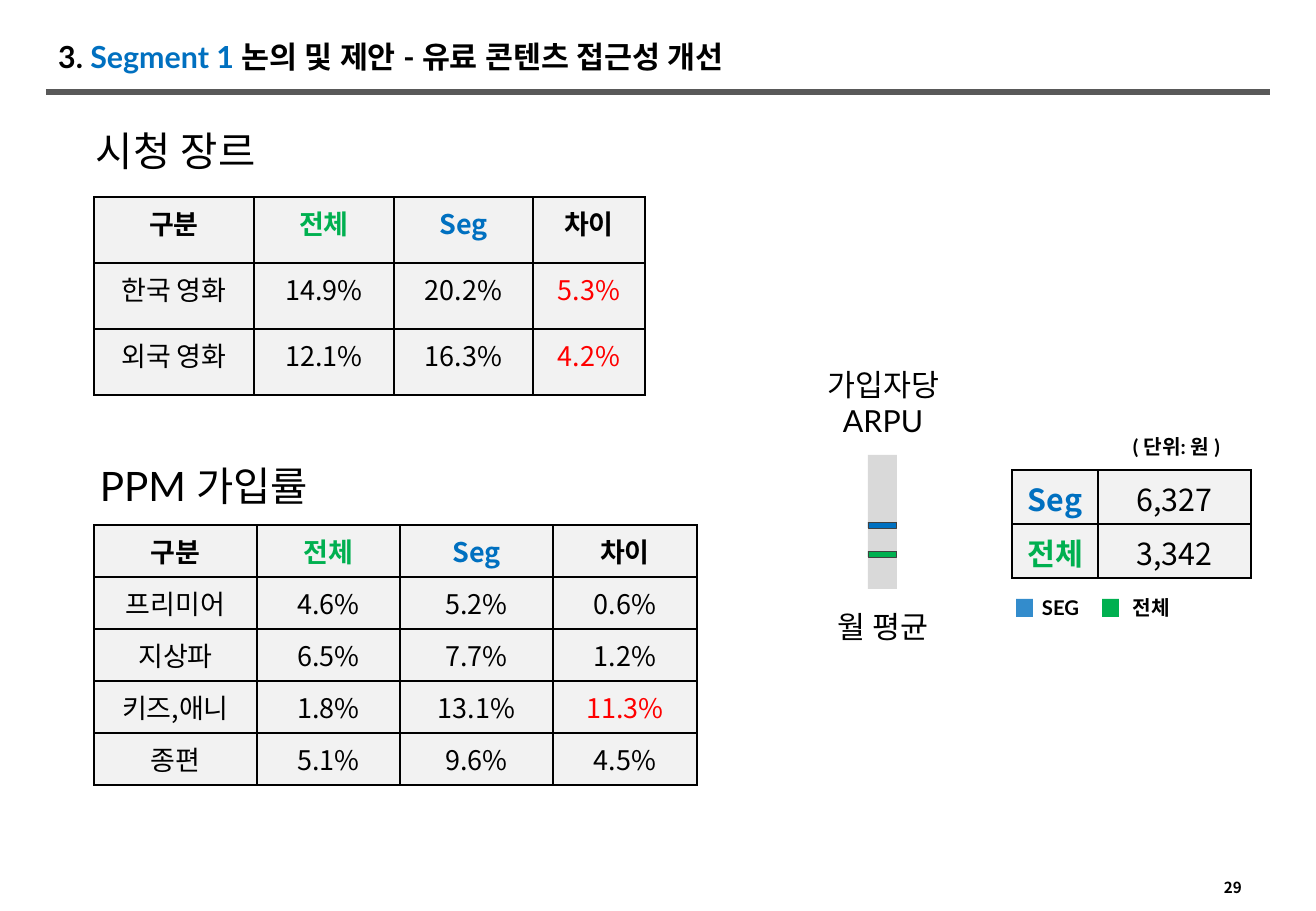
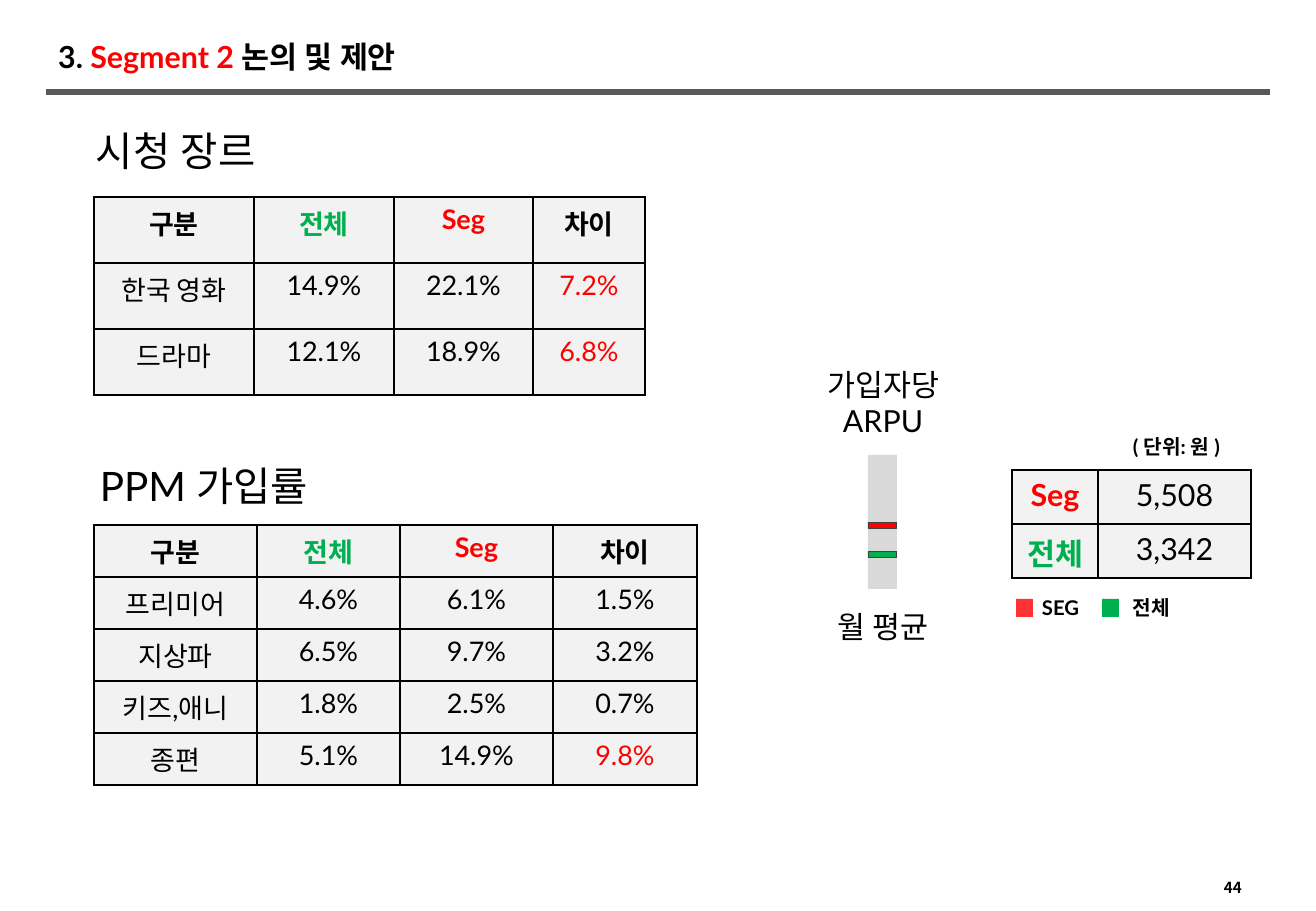
import dataclasses

import pptx
import pptx.dml.color
import pptx.enum.shapes
import pptx.enum.text
import pptx.oxml.ns
import pptx.oxml.xmlchemy
import pptx.util
from pptx.oxml import parse_xml

PX = 914400 / 121.5  # EMU in one px
RECTANGLE = pptx.enum.shapes.MSO_SHAPE.RECTANGLE
CENTER = pptx.enum.text.PP_ALIGN.CENTER
LEFT = pptx.enum.text.PP_ALIGN.LEFT
MIDDLE = pptx.enum.text.MSO_ANCHOR.MIDDLE
NAMESPACE = 'xmlns:a="http://schemas.openxmlformats.org/drawingml/2006/main"'


@dataclasses.dataclass(frozen=True)
class Theme:
    black: str = "000000"
    blue: str = "0070C0"
    red: str = "FF0000"
    green: str = "00B050"
    rule: str = "595959"
    outline: str = "404040"
    gauge: str = "D9D9D9"
    cell: str = "F2F2F2"
    latin: str = "Lato"
    korean: str = "Noto Sans CJK KR"
    heading: int = 24
    title: int = 18
    cell_text: int = 16
    label: int = 12
    page: int = 9


THEME = Theme()
RGB = pptx.dml.color.RGBColor.from_string


def add_run(paragraph, text, size, color=THEME.black, bold=False,
            font=THEME.latin, east_asian=None):
    run = paragraph.add_run()
    run.text = text
    run.font.size = pptx.util.Pt(size)
    run.font.bold = bold
    run.font.color.rgb = RGB(color)
    run.font.name = font
    run.font._element.append(parse_xml(f'<a:ea {NAMESPACE} typeface="{east_asian or font}"/>'))


def add_text(shapes, box, text, size, bold=False, align=LEFT, font=THEME.latin):
    shape = shapes.add_textbox(*[round(value * PX) for value in box])
    shape.text_frame.word_wrap = True
    paragraph = shape.text_frame.paragraphs[0]
    paragraph.alignment = align
    add_run(paragraph, text, size, bold=bold, font=font)
    return shape


# Content of each slide
HEADER = ["구분", "전체", "Seg", "차이"]
SLIDES = [
    {
        "page": "29", "segment": "Segment 1 ", "color": THEME.blue, "font": THEME.korean,
        "title": "논의 및 제안 - 유료 콘텐츠 접근성 개선",
        "highlights": {"5.3%", "4.2%", "11.3%"},
        "genres": [["한국 영화", "14.9%", "20.2%", "5.3%"],
                   ["외국 영화", "12.1%", "16.3%", "4.2%"]],
        "subscriptions": [["프리미어", "4.6%", "5.2%", "0.6%"],
                          ["지상파", "6.5%", "7.7%", "1.2%"],
                          ["키즈,애니", "1.8%", "13.1%", "11.3%"],
                          ["종편", "5.1%", "9.6%", "4.5%"]],
        "arpu": [["Seg", "6,327"], ["전체", "3,342"]],
    },
    {
        "page": "44", "segment": "Segment 2 ", "color": THEME.red, "font": THEME.latin,
        "title": "논의 및 제안",
        "highlights": {"7.2%", "6.8%", "9.8%"},
        "genres": [["한국 영화", "14.9%", "22.1%", "7.2%"],
                   ["드라마", "12.1%", "18.9%", "6.8%"]],
        "subscriptions": [["프리미어", "4.6%", "6.1%", "1.5%"],
                          ["지상파", "6.5%", "9.7%", "3.2%"],
                          ["키즈,애니", "1.8%", "2.5%", "0.7%"],
                          ["종편", "5.1%", "14.9%", "9.8%"]],
        "arpu": [["Seg", "5,508"], ["전체", "3,342"]],
    },
]

presentation = pptx.Presentation()
presentation.slide_width = round(1316 * PX)
presentation.slide_height = round(911 * PX)

for content in SLIDES:
    slide = presentation.slides.add_slide(presentation.slide_layouts[5])
    shapes = slide.shapes

    # Title
    title = shapes.title
    title.left, title.top, title.width, title.height = [
        round(value * PX) for value in (46, 33, 850, 46)]
    title.text_frame.auto_size = pptx.enum.text.MSO_AUTO_SIZE.NONE
    title.text_frame.vertical_anchor = MIDDLE
    paragraph = title.text_frame.paragraphs[0]
    paragraph.alignment = LEFT
    for text, color in (("3. ", THEME.black), (content["segment"], content["color"]),
                        (content["title"], THEME.black)):
        add_run(paragraph, text, THEME.title, color, bold=True)

    # Rule under the title and page number
    rule = shapes.add_connector(
        pptx.enum.shapes.MSO_CONNECTOR.STRAIGHT,
        *[round(value * PX) for value in (46, 92, 1270, 92)])
    rule.line.color.rgb = RGB(THEME.rule)
    rule.line.width = pptx.util.Pt(3)
    rule._element.spPr.append(parse_xml(f"<a:effectLst {NAMESPACE}/>"))
    page = add_text(shapes, (1212, 872, 57, 30), content["page"], THEME.page,
                    bold=True, font=THEME.korean)
    page.text_frame.vertical_anchor = MIDDLE

    # Headings and legend labels
    add_text(shapes, (84, 120, 382, 61), "시청 장르", THEME.heading)
    add_text(shapes, (46, 455, 316, 61), "PPM 가입률", THEME.heading, align=CENTER)
    for box, text in (((1121, 428, 151, 36), "( 단위: 원 )"),
                      ((1030, 589, 70, 36), "SEG"),
                      ((1121, 589, 101, 36), "전체")):
        add_text(shapes, box, text, THEME.label, bold=True)

    # Tables
    text_colors = {"전체": THEME.green, "Seg": content["color"]}
    text_colors.update((value, THEME.red) for value in content["highlights"])
    for left, top, widths, row_height, size, rows in (
            (94, 197, (160, 140, 139, 112), 66, THEME.cell_text,
             [HEADER] + content["genres"]),
            (94, 525, (163, 143, 153, 144), 52, THEME.cell_text,
             [HEADER] + content["subscriptions"]),
            (1012, 470, (86, 153), 54, THEME.title, content["arpu"])):
        table = shapes.add_table(
            len(rows), len(widths), round(left * PX), round(top * PX),
            round(sum(widths) * PX), round(row_height * len(rows) * PX)).table
        for column, width in zip(table.columns, widths):
            column.width = round(width * PX)
        for row, values in zip(table.rows, rows):
            row.height = round(row_height * PX)
            for cell, value in zip(row.cells, values):
                properties = cell._tc.get_or_add_tcPr()
                for side in ("lnL", "lnR", "lnT", "lnB"):
                    properties.append(parse_xml(
                        f'<a:{side} {NAMESPACE} w="12700"><a:solidFill>'
                        f'<a:srgbClr val="{THEME.black}"/></a:solidFill></a:{side}>'))
                cell.fill.solid()
                cell.fill.fore_color.rgb = RGB(THEME.cell)
                paragraph = cell.text_frame.paragraphs[0]
                paragraph.alignment = CENTER
                add_run(paragraph, value, size, text_colors.get(value, THEME.black),
                        value in HEADER, content["font"], THEME.korean)

    # Gauge with its labels, and legend squares
    gauge = shapes.add_group_shape()
    for box, text in (((792, 360, 182, 86), "가입자당 ARPU"),
                      ((792, 602, 182, 48), "월 평균")):
        add_text(gauge.shapes, box, text, THEME.title, align=CENTER)
    for parent, box, color, outlined, opacity in (
            (gauge.shapes, (868, 455, 29, 134), THEME.gauge, False, 100),
            (gauge.shapes, (868, 551, 29, 6), THEME.green, True, 100),
            (gauge.shapes, (868, 522, 29, 6), content["color"], True, 100),
            (shapes, (1016, 599, 17, 18), content["color"], False, 80),
            (shapes, (1102, 599, 17, 18), THEME.green, False, 100)):
        shape = parent.add_shape(RECTANGLE, *[round(value * PX) for value in box])
        shape.shadow.inherit = False
        shape.fill.solid()
        shape.fill.fore_color.rgb = RGB(color)
        if opacity < 100:
            fill_color = shape._element.spPr.find(".//" + pptx.oxml.ns.qn("a:srgbClr"))
            fill_color.append(parse_xml(f'<a:alpha {NAMESPACE} val="{opacity * 1000}"/>'))
        if outlined:
            shape.line.color.rgb = RGB(THEME.outline)
            shape.line.width = pptx.util.Pt(0.5)
        else:
            shape.line.fill.background()

presentation.save("out.pptx")
